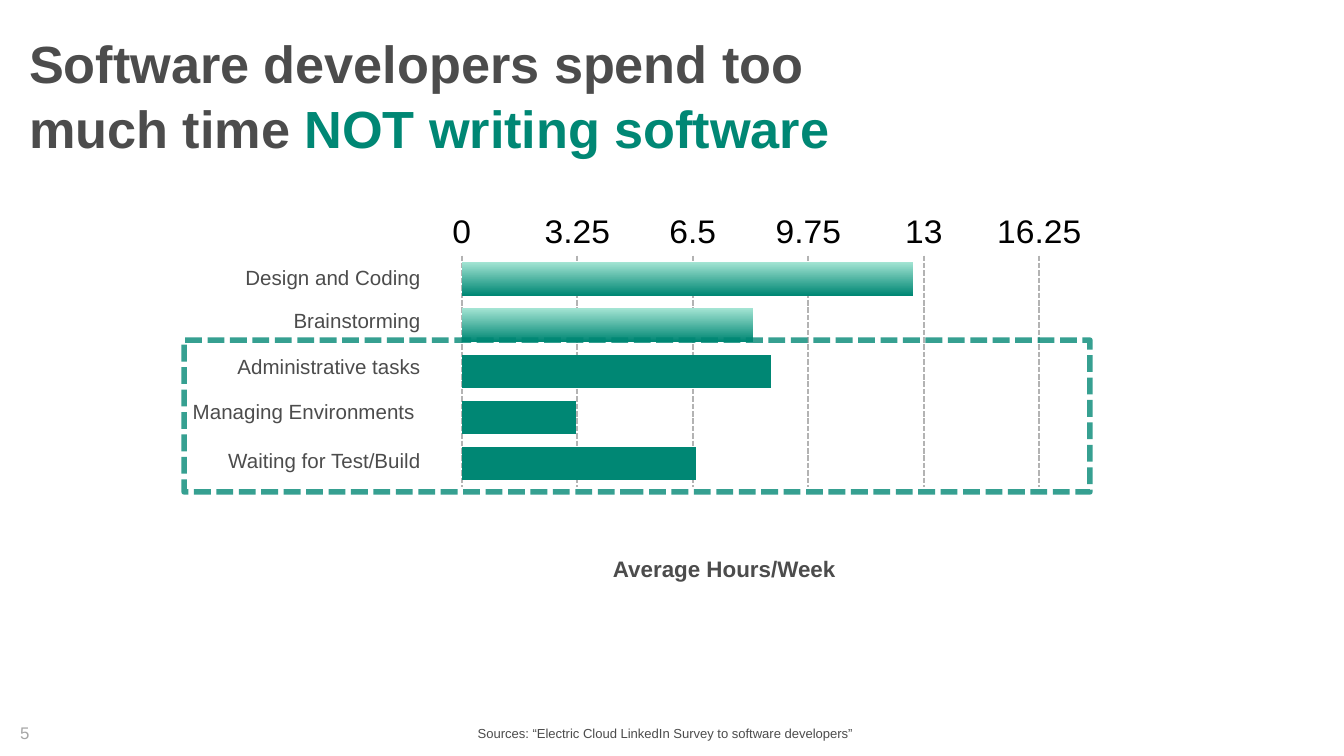
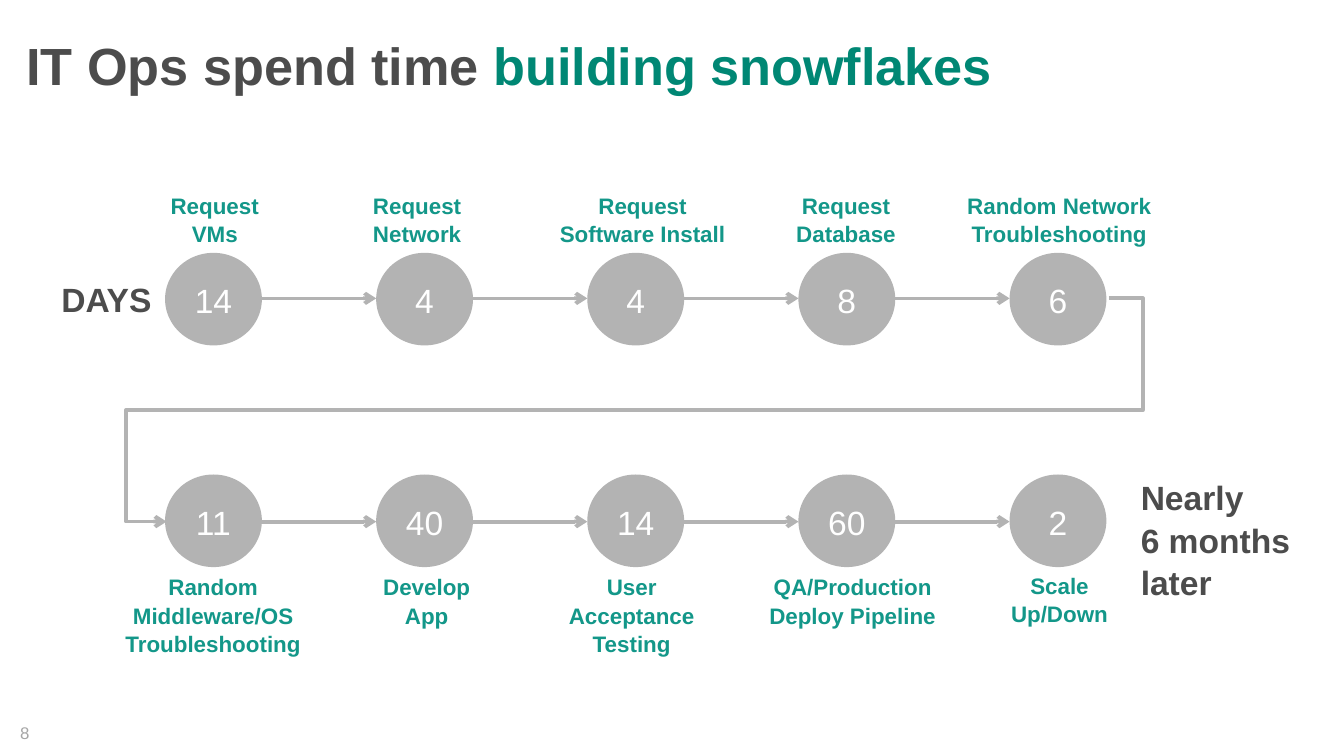
from dataclasses import dataclass

from lxml import etree
from pptx import Presentation
from pptx import util as u
from pptx.chart.data import CategoryChartData
from pptx.dml.color import RGBColor
from pptx.enum import chart as charts, dml, shapes, text
from pptx.oxml import parse_xml
from pptx.oxml.ns import nsdecls, qn


@dataclass(frozen=True)
class Theme:
    font: str = "Arial"
    dark: RGBColor = RGBColor.from_string("4C4C4C")
    accent: RGBColor = RGBColor.from_string("008774")
    pale: RGBColor = RGBColor.from_string("A3E4D3")
    bar: RGBColor = RGBColor.from_string("00AE9E")
    label: RGBColor = RGBColor.from_string("139789")
    grey: RGBColor = RGBColor.from_string("B3B3B3")
    number: RGBColor = RGBColor.from_string("A6A6A6")
    white: RGBColor = RGBColor.from_string("FFFFFF")
    black: RGBColor = RGBColor.from_string("000000")
    title_size: int = 28
    large: int = 18
    medium: int = 12
    category_size: int = 11
    number_size: int = 9
    source_size: int = 7
    spacing: float = 1.05


theme = Theme()
left, centre, right = text.PP_ALIGN.LEFT, text.PP_ALIGN.CENTER, text.PP_ALIGN.RIGHT
top_anchor, middle = text.MSO_ANCHOR.TOP, text.MSO_ANCHOR.MIDDLE


def write(box, words, size, colour, bold=False, align=left, anchor=top_anchor,
          inset=None, wrap=True, highlight=None):
    frame = box.text_frame
    frame.word_wrap = wrap
    frame.vertical_anchor = anchor
    if inset is not None:
        frame.margin_left = frame.margin_right = u.Cm(inset)
        frame.margin_top = frame.margin_bottom = u.Cm(inset)
    para = frame.paragraphs[0]
    para.text = words
    para.alignment = align
    para.line_spacing = theme.spacing
    para.font.name = theme.font
    para.font.size = u.Pt(size)
    para.font.bold = bold
    para.font.color.rgb = colour
    if highlight:
        span = para.add_run()
        span.text = highlight
        span.font.color.rgb = theme.accent


def add_arrow(page, kind, start, end):
    arrow = page.shapes.add_connector(kind, *map(u.Cm, start + end))
    arrow.line.color.rgb = theme.grey
    arrow.line.width = u.Pt(2)
    etree.SubElement(arrow.line._get_or_add_ln(), qn("a:tailEnd"), type="arrow")
    etree.SubElement(arrow._element.spPr, qn("a:effectLst"))
    return arrow


deck = Presentation()
deck.slide_width, deck.slide_height = u.Cm(25.4), u.Cm(14.29)
headings = [
    ("Software developers spend too much time ", "NOT writing software",
     (0.3, 0.41, 17.88, 2.72), "5"),
    ("IT Ops spend time ", "building snowflakes", (0.25, 0.46, 24.18, 1.45), "8"),
]
pages = []
for opening, highlight, place, number in headings:
    page = deck.slides.add_slide(deck.slide_layouts[6])
    box = page.shapes.add_textbox(*map(u.Cm, place))
    write(box, opening, theme.title_size, theme.dark, True, anchor=middle, highlight=highlight)
    box = page.shapes.add_textbox(u.Cm(0.13), u.Cm(13.51), u.Cm(1.04), u.Cm(0.76))
    write(box, number, theme.number_size, theme.number)
    pages.append(page)
survey, process = pages

hours = CategoryChartData()
hours.categories = ["1", "2", "3", "4", "5"]
hours.add_series("Series 1", (12.7, 8.2, 8.7, 3.2, 6.6))
chart = survey.shapes.add_chart(
    charts.XL_CHART_TYPE.BAR_CLUSTERED,
    u.Cm(4.37), u.Cm(4.04), u.Cm(19.81), u.Cm(8.53), hours).chart
chart.has_title = chart.has_legend = False
chart.font.name = theme.font
chart.font.size = u.Pt(10)
chart.font.color.rgb = theme.black

chart.category_axis.reverse_order = True
chart.category_axis.crosses = charts.XL_AXIS_CROSSES.MAXIMUM
chart.category_axis.visible = False
axis = chart.value_axis
axis.minimum_scale, axis.maximum_scale, axis.major_unit = 0, 16.25, 3.25
axis.major_tick_mark = axis.minor_tick_mark = charts.XL_TICK_MARK.NONE
axis.tick_labels.number_format = "General"
axis.tick_labels.number_format_is_linked = False
axis.tick_labels.font.name = theme.font
axis.tick_labels.font.size = u.Pt(theme.large)
axis.tick_labels.font.color.rgb = theme.black
axis.format.line.fill.background()
grid = axis.major_gridlines.format.line
grid.color.rgb = theme.grey
grid.width = u.Pt(1)
grid.dash_style = dml.MSO_LINE.SQUARE_DOT

plot = chart.plots[0]
plot.gap_width, plot.overlap, plot.vary_by_categories = 40, -10, False
series = plot.series[0]
series.format.fill.solid()
series.format.fill.fore_color.rgb = theme.bar
for index in range(5):
    fill = series.points[index].format.fill
    if index < 2:
        fill.gradient()
        fill.gradient_angle = 270
        for stop, colour in zip(fill.gradient_stops, (theme.pale, theme.accent)):
            stop.color.rgb = colour
    else:
        fill.solid()
        fill.fore_color.rgb = theme.accent

area = chart._chartSpace.chart.plotArea
for layout in area.findall(qn("c:layout")):
    area.remove(layout)
area.insert(0, parse_xml(
    f'<c:layout {nsdecls("c")}><c:manualLayout><c:layoutTarget val="inner"/>'
    '<c:xMode val="edge"/><c:yMode val="edge"/><c:x val="0.22"/><c:y val="0.065"/>'
    '<c:w val="0.551"/><c:h val="0.529"/></c:manualLayout></c:layout>'))

activities = [
    ("Design and Coding", 4.85),
    ("Brainstorming", 5.67),
    ("Administrative tasks", 6.53),
    ("Managing Environments ", 7.39),
    ("Waiting for Test/Build", 8.31),
]
for words, top in activities:
    box = survey.shapes.add_textbox(u.Cm(2.74), u.Cm(top), u.Cm(5.36), u.Cm(0.76))
    write(box, words, theme.category_size, theme.dark, align=right, anchor=middle, inset=0.15)
box = survey.shapes.add_textbox(u.Cm(9.65), u.Cm(10.34), u.Cm(8.08), u.Cm(0.79))
write(box, "Average Hours/Week", theme.medium, theme.dark, True, centre, middle, 0.15)
box = survey.shapes.add_textbox(u.Cm(8.86), u.Cm(13.64), u.Cm(7.42), u.Cm(0.41))
write(box, "Sources: “Electric Cloud LinkedIn Survey to software developers”",
      theme.source_size, theme.dark, align=centre, anchor=middle, inset=0.05, wrap=False)

outline = survey.shapes.add_shape(
    shapes.MSO_SHAPE.RECTANGLE, u.Cm(3.48), u.Cm(6.43), u.Cm(17.12), u.Cm(2.87))
outline.shadow.inherit = False
outline.fill.background()
outline.line.color.rgb = theme.accent
outline.line.width = u.Pt(3)
outline.line.dash_style = dml.MSO_LINE.SQUARE_DOT
line_colour = outline.line._get_or_add_ln().find(".//" + qn("a:srgbClr"))
etree.SubElement(line_colour, qn("a:alpha"), val="78000")

first_left, pitch = 3.12, 3.99
circle_width, circle_height = 1.83, 1.75
rows = [
    (4.78, 5.64, [
        ("14", "Request VMs", 2.97, 3.48, 2.18),
        ("4", "Request Network", 6.45, 3.48, 2.87),
        ("4", "Request Software Install", 10.29, 3.48, 3.71),
        ("8", "Request Database", 14.53, 3.48, 2.92),
        ("6", "Random Network Troubleshooting", 17.53, 3.48, 4.98),
    ]),
    (8.97, 9.86, [
        ("11", "Random Middleware/OS Troubleshooting", 2.01, 10.69, 4.04),
        ("40", "Develop App", 6.58, 10.69, 2.97),
        ("14", "User Acceptance Testing", 10.06, 10.69, 3.76),
        ("60", "QA/Production\vDeploy Pipeline", 14.17, 10.69, 3.89),
        ("2", "Scale Up/Down", 18.36, 10.67, 3.33),
    ]),
]
for circle_top, arrow_y, steps in rows:
    for index, (days, words, label_left, label_top, label_width) in enumerate(steps):
        circle_left = first_left + index * pitch
        circle = process.shapes.add_shape(
            shapes.MSO_SHAPE.OVAL, u.Cm(circle_left), u.Cm(circle_top),
            u.Cm(circle_width), u.Cm(circle_height))
        circle.shadow.inherit = False
        circle.fill.solid()
        circle.fill.fore_color.rgb = theme.grey
        circle.line.fill.background()
        write(circle, days, theme.large, theme.white, align=centre, anchor=middle,
              inset=0, wrap=False)
        box = process.shapes.add_textbox(
            u.Cm(label_left), u.Cm(label_top), u.Cm(label_width), u.Cm(1.27))
        write(box, words, theme.medium, theme.label, True, centre)
        if index:
            add_arrow(process, shapes.MSO_CONNECTOR.STRAIGHT,
                      (circle_left - pitch + circle_width, arrow_y), (circle_left, arrow_y))

turn = add_arrow(process, shapes.MSO_CONNECTOR.ELBOW, (20.96, 5.64), (3.15, 9.86))
geometry = turn._element.spPr.find(qn("a:prstGeom"))
geometry.set("prst", "bentConnector5")
guides = geometry.find(qn("a:avLst"))
for index, value in enumerate((-3600, 50000, 104300), 1):
    etree.SubElement(guides, qn("a:gd"), name=f"adj{index}", fmla=f"val {value}")

box = process.shapes.add_textbox(u.Cm(0.91), u.Cm(5.11), u.Cm(2.36), u.Cm(1.02))
write(box, "DAYS", theme.large, theme.dark, True)
box = process.shapes.add_textbox(u.Cm(21.31), u.Cm(8.86), u.Cm(3.58), u.Cm(2.57))
write(box, "Nearly \v6 months \vlater", theme.large, theme.dark, True)

deck.save("out.pptx")
